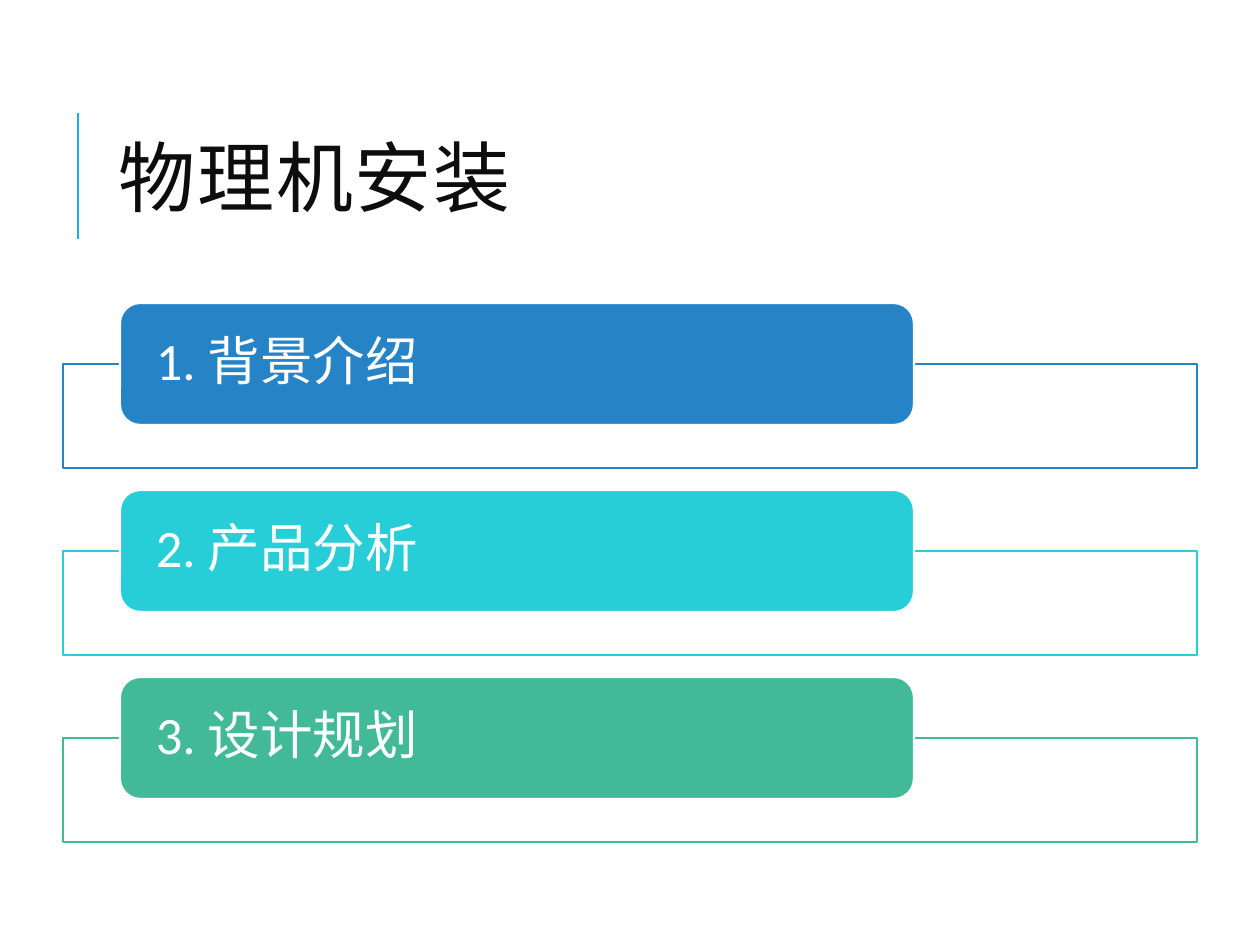
from lxml import etree
from pptx import Presentation
from pptx.dml.color import RGBColor
from pptx.enum.shapes import MSO_CONNECTOR as Connector, MSO_SHAPE as Shape
from pptx.enum.text import MSO_ANCHOR as Anchor, PP_ALIGN as Align
from pptx.oxml.ns import qn
from pptx.util import Pt

PX = 914400 // 126

THEME = {
    "rule": "1CADE4", "ink": "0D0D0D", "paper": "FFFFFF",
    "topics": ["2683C6", "27CED7", "42BA97"],
    "title_size": 44, "topic_size": 30, "outline": 1.25, "rule_width": 1.5,
}


def px(*lengths):
    return [length * PX for length in lengths]


def set_text(frame, text, font, paragraph, margins):
    frame.text = text
    frame.word_wrap = True
    frame.vertical_anchor = Anchor.MIDDLE
    for side, margin in margins.items():
        setattr(frame, "margin_" + side, margin * PX)
    line = frame.paragraphs[0]
    line.alignment = Align.LEFT
    for key, value in paragraph.items():
        setattr(line, key, value)
    run = line.runs[0]
    run.font.color.rgb = RGBColor.from_string(font.pop("color"))
    for key, value in font.items():
        setattr(run.font, key, value)
    return run


deck = Presentation()
deck.slide_width, deck.slide_height = px(1260, 945)
slide = deck.slides.add_slide(deck.slide_layouts[5])

# Vertical rule beside the title
rule = slide.shapes.add_connector(Connector.STRAIGHT, *px(78, 239, 78, 113))
rule.line.color.rgb = RGBColor.from_string(THEME["rule"])
rule.line.width = Pt(THEME["rule_width"])
etree.SubElement(rule.element.spPr, qn("a:effectLst"))

# Title
heading = slide.shapes.title
heading.left, heading.top, heading.width, heading.height = px(106, 81, 1004, 207)
heading_run = set_text(
    heading.text_frame, "物理机安装",
    {"name": "Cabin", "size": Pt(THEME["title_size"]), "color": THEME["ink"]},
    {"line_spacing": 0.8}, {})
heading_run.font._element.set("spc", "100")

# Topics: an outlined frame with a rounded label over its top edge
FIRST_TOP, PITCH = 303, 187
topics = ["1. 背景介绍", "2. 产品分析", "3. 设计规划"]
for index, (topic, accent) in enumerate(zip(topics, THEME["topics"])):
    top = FIRST_TOP + index * PITCH
    parts = [
        (Shape.RECTANGLE, (63, top + 61, 1134, 104), THEME["paper"], accent),
        (Shape.ROUNDED_RECTANGLE, (120, top, 794, 122), accent, THEME["paper"]),
    ]
    for preset, box, fill, outline in parts:
        label = slide.shapes.add_shape(preset, *px(*box))
        label.shadow.inherit = False
        label.fill.solid()
        label.fill.fore_color.rgb = RGBColor.from_string(fill)
        label.line.color.rgb = RGBColor.from_string(outline)
        label.line.width = Pt(THEME["outline"])
        if preset == Shape.RECTANGLE:
            color = label.element.spPr.find(qn("a:solidFill"))[0]
            etree.SubElement(color, qn("a:alpha"), val="90000")
    set_text(
        label.text_frame, topic,
        {"name": "Calibri", "size": Pt(THEME["topic_size"]), "color": THEME["paper"]},
        {"line_spacing": 0.9}, {"left": 30, "right": 30, "top": 0, "bottom": 0})

deck.save("out.pptx")
